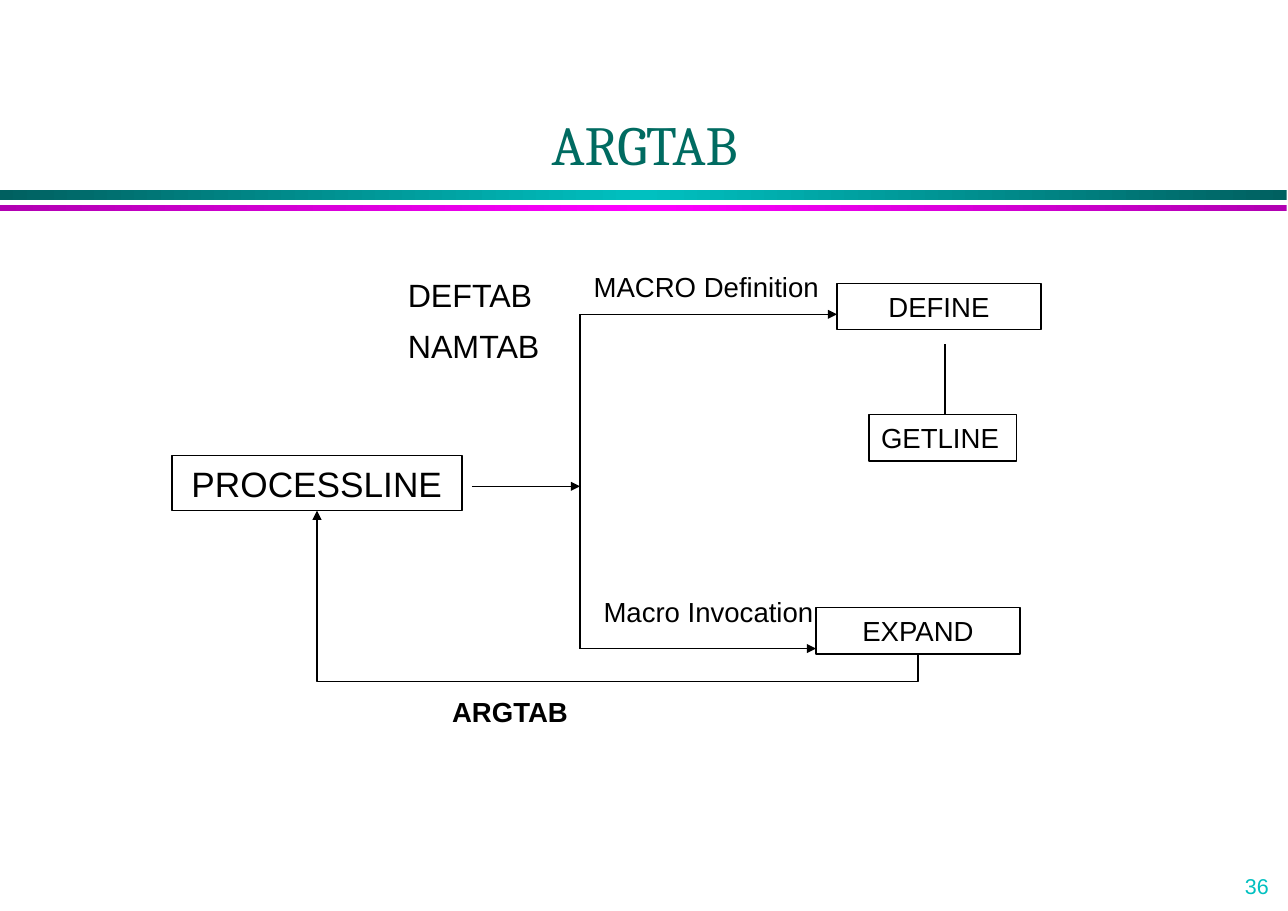
from copy import deepcopy
from dataclasses import dataclass

from lxml import etree
from pptx import Presentation
from pptx.dml.color import RGBColor
from pptx.enum import shapes, text
from pptx.oxml.ns import qn
from pptx.util import Pt

COLOURS = {
    "ink": "000000",
    "title": "006B61",
    "teal": "00C0C0",
    "teal edge": "006060",
    "magenta": "FF00FF",
    "magenta edge": "B200B2",
}
BRANCH_X, DEFINE_Y, EXPAND_Y = 378.7, 205.2, 423.4
LEFT, CENTRE = text.PP_ALIGN.LEFT, text.PP_ALIGN.CENTER
TOP, BOTTOM = text.MSO_ANCHOR.TOP, text.MSO_ANCHOR.BOTTOM


@dataclass
class Label:
    words: str
    left: float
    top: float
    width: float
    height: float = 30.2
    size: float = 18
    align: text.PP_ALIGN = LEFT
    framed: bool = False
    wrap: bool = False
    bold: bool = False
    font: str = "Arial"
    colour: str = "ink"
    anchor: text.MSO_ANCHOR = TOP
    insets: tuple[float, float] = (7.9, 4.3)


@dataclass
class Link:
    start: tuple[float, float]
    end: tuple[float, float]
    arrow: bool = True


@dataclass
class Rule:
    top: float
    height: float
    colour: str


RULES = [Rule(123.8, 6.5, "teal"), Rule(133.9, 3.6, "magenta")]

LABELS = [
    Label("36", 805, 565.9, 33.8, 25.2, size=14, colour="teal"),
    Label("ARGTAB", 63.4, 20.2, 715, 99.4, size=36, align=CENTRE, wrap=True,
          font="Cambria", colour="title", anchor=BOTTOM),
    Label("DEFINE", 546.5, 185, 133.2, align=CENTRE, framed=True, wrap=True),
    Label("EXPAND", 532.8, 396.7, 133.2, align=CENTRE, framed=True, wrap=True),
    Label("PROCESSLINE", 112.3, 297.4, 189.4, 36, size=23, align=CENTRE,
          framed=True, wrap=True),
    Label("GETLINE", 567.4, 270.7, 96.5, framed=True),
    Label("DEFTAB", 259.2, 176.4, 96.5, 33.1, size=21, insets=(7.2, 3.6)),
    Label("NAMTAB", 259.2, 209.5, 101.5, 33.1, size=21, insets=(7.2, 3.6)),
    Label("ARGTAB", 287.3, 449.3, 92.9, bold=True),
    Label("MACRO Definition", 378.7, 172.1, 164.9, align=CENTRE),
    Label("Macro Invocation", 385.2, 383.8, 154.8, align=CENTRE),
]

LINKS = [
    Link((BRANCH_X, DEFINE_Y), (546.5, DEFINE_Y)),
    Link((BRANCH_X, EXPAND_Y), (532.8, EXPAND_Y)),
    Link((BRANCH_X, DEFINE_Y), (BRANCH_X, EXPAND_Y), arrow=False),
    Link((308.2, 317.5), (BRANCH_X, 317.5)),
    Link((617, 224.6), (617, 270.7), arrow=False),
]


def rgb(name: str) -> RGBColor:
    return RGBColor.from_string(COLOURS[name])


def draw_rule(page, rule: Rule) -> None:
    """Draw a full-width bar that is brightest in the middle."""
    bar = page.shapes.add_shape(shapes.MSO_SHAPE.RECTANGLE, 0, Pt(rule.top),
                                Pt(840.2), Pt(rule.height))
    bar.shadow.inherit = False
    bar.line.fill.background()
    bar.fill.gradient()
    bar.fill.gradient_angle = 0
    stop_list = bar._element.spPr.find(".//" + qn("a:gsLst"))
    stop_list.insert(1, deepcopy(stop_list[0]))
    edge = f"{rule.colour} edge"
    for stop, place, name in zip(bar.fill.gradient_stops, (0, 0.5, 1),
                                 (edge, rule.colour, edge)):
        stop.position = place
        stop.color.rgb = rgb(name)


def draw_label(page, label: Label) -> None:
    frame = [Pt(n) for n in (label.left, label.top, label.width, label.height)]
    if label.framed:
        box = page.shapes.add_shape(shapes.MSO_SHAPE.RECTANGLE, *frame)
        box.shadow.inherit = False
        box.fill.background()
        box.line.color.rgb = rgb("ink")
        box.line.width = Pt(1)
    else:
        box = page.shapes.add_textbox(*frame)
    body = box.text_frame
    body.word_wrap = label.wrap
    body.vertical_anchor = label.anchor
    across, down = label.insets
    body.margin_left = body.margin_right = Pt(across)
    body.margin_top = body.margin_bottom = Pt(down)
    para = body.paragraphs[0]
    para.alignment = label.align
    span = para.add_run()
    span.text = label.words
    span.font.name = label.font
    span.font.size = Pt(label.size)
    span.font.bold = label.bold
    span.font.color.rgb = rgb(label.colour)


def draw_link(page, link: Link, kind=shapes.MSO_CONNECTOR.STRAIGHT):
    connector = page.shapes.add_connector(
        kind, *(Pt(n) for n in link.start + link.end))
    connector.line.color.rgb = rgb("ink")
    connector.line.width = Pt(1)
    if link.arrow:
        outline = connector.line._get_or_add_ln()
        etree.SubElement(outline, qn("a:tailEnd"), type="triangle")
    etree.SubElement(connector._element.spPr, qn("a:effectLst"))
    return connector


def draw_return(page, start: tuple[float, float], end: tuple[float, float],
                drop: float) -> None:
    """Run an elbow down from start by drop, across, and up to end."""
    middle_x, middle_y = (start[0] + end[0]) / 2, (start[1] + end[1]) / 2
    rise, run = start[1] - end[1], start[0] - end[0]
    # The elbow is laid out upright, then turned a quarter about its middle.
    upright = Link((middle_x + rise / 2, middle_y - run / 2),
                   (middle_x - rise / 2, middle_y + run / 2))
    connector = draw_link(page, upright, shapes.MSO_CONNECTOR.ELBOW)
    properties = connector._element.spPr
    properties.find(qn("a:xfrm")).set("rot", "5400000")
    adjustments = properties.find(".//" + qn("a:avLst"))
    etree.SubElement(adjustments, qn("a:gd"), name="adj1",
                     fmla=f"val {round(-drop / rise * 100000)}")


def main() -> None:
    deck = Presentation()
    deck.slide_width, deck.slide_height = Pt(841), Pt(594.7)
    page = deck.slides.add_slide(deck.slide_layouts[6])
    for rule in RULES:
        draw_rule(page, rule)
    for label in LABELS:
        draw_label(page, label)
    for link in LINKS:
        draw_link(page, link)
    draw_return(page, start=(599.4, 426.9), end=(207, 333.4), drop=18)
    deck.save("out.pptx")


if __name__ == "__main__":
    main()
